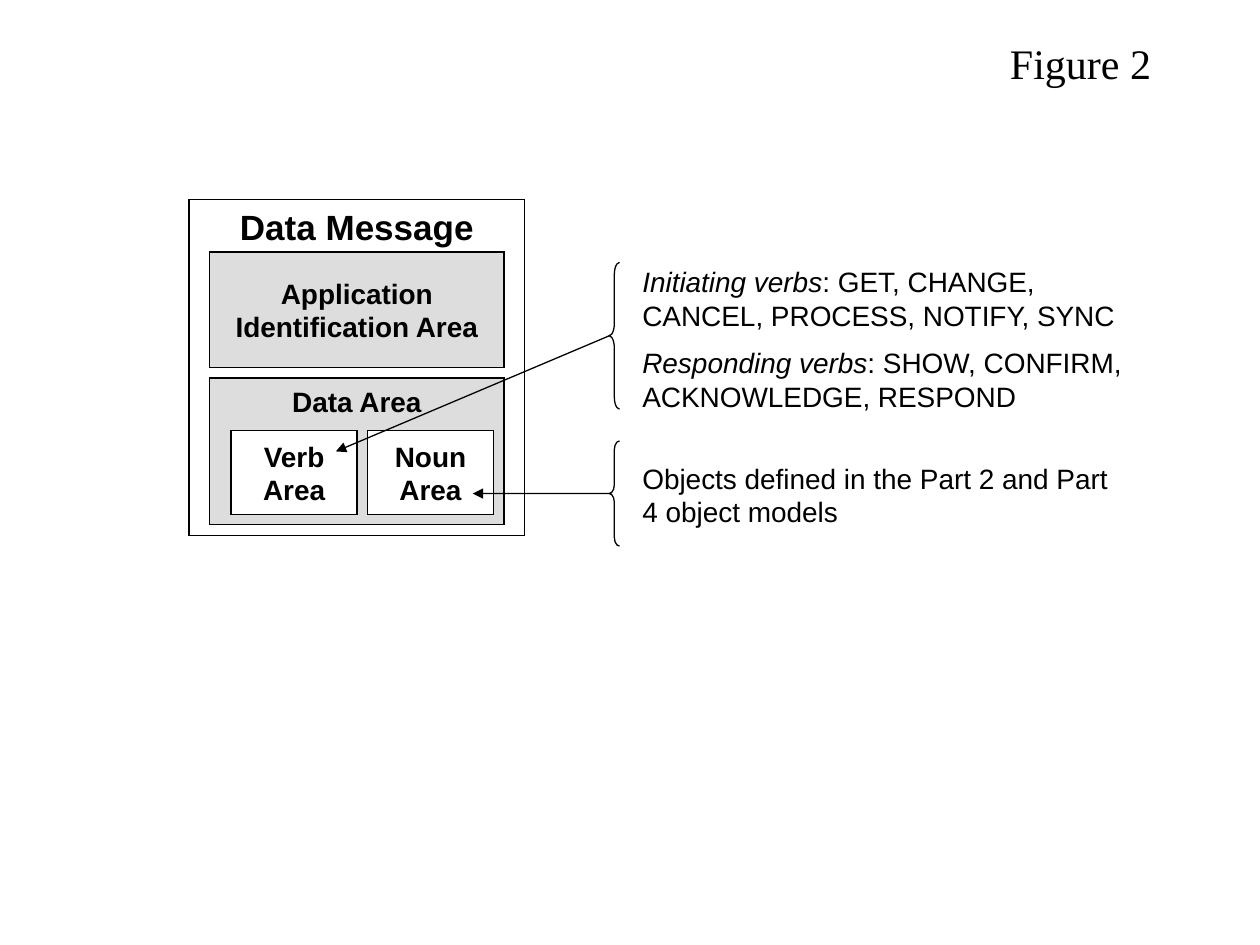
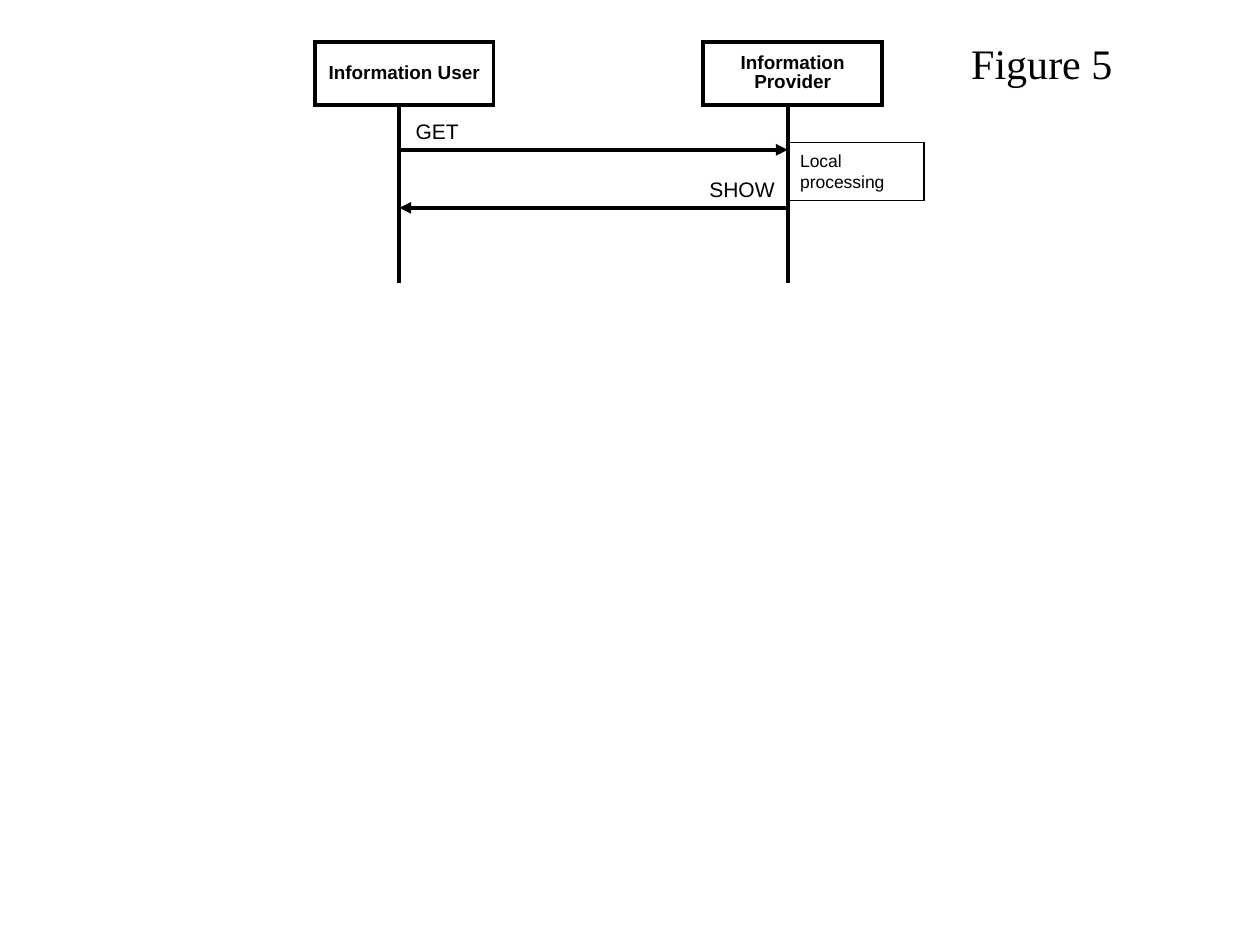
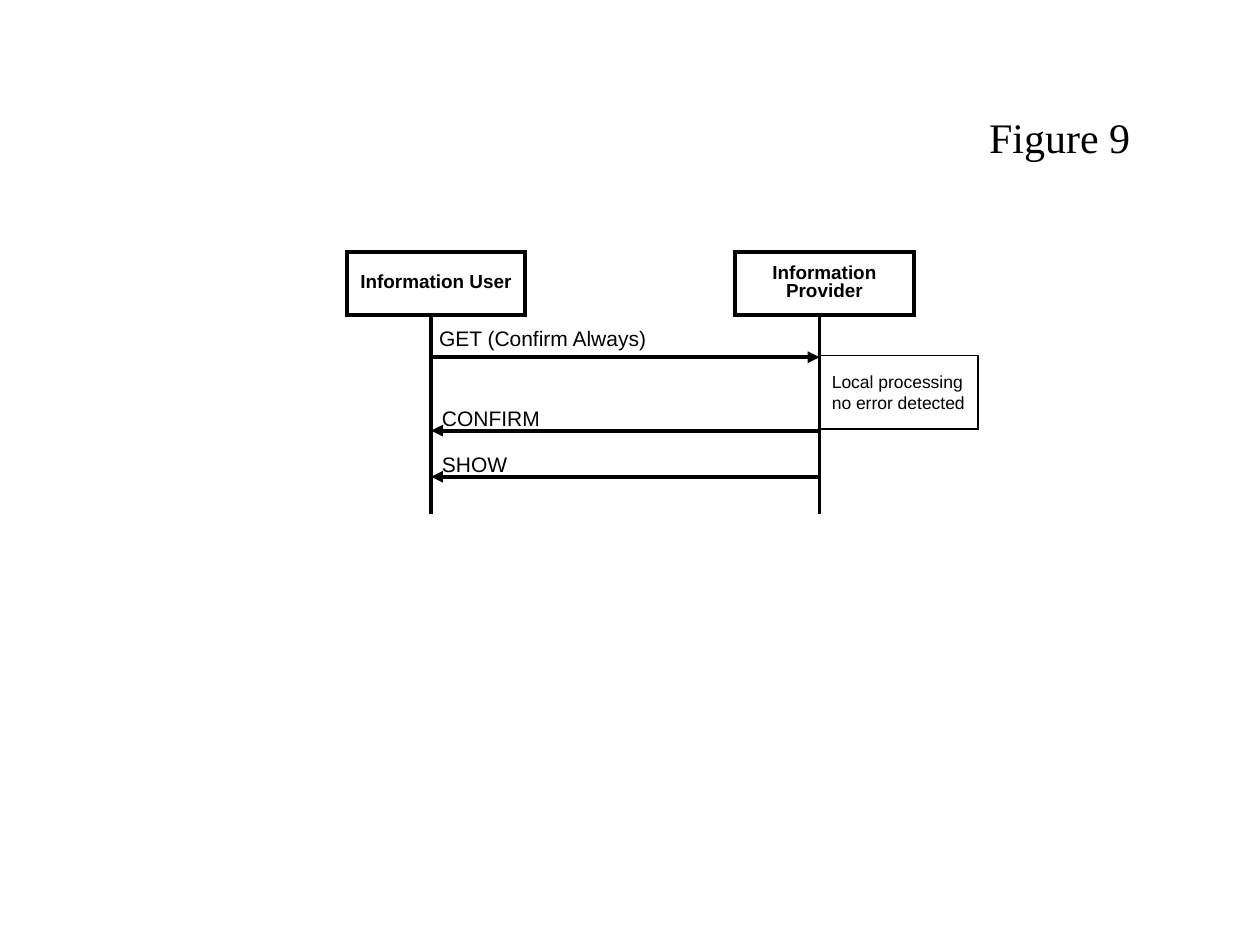
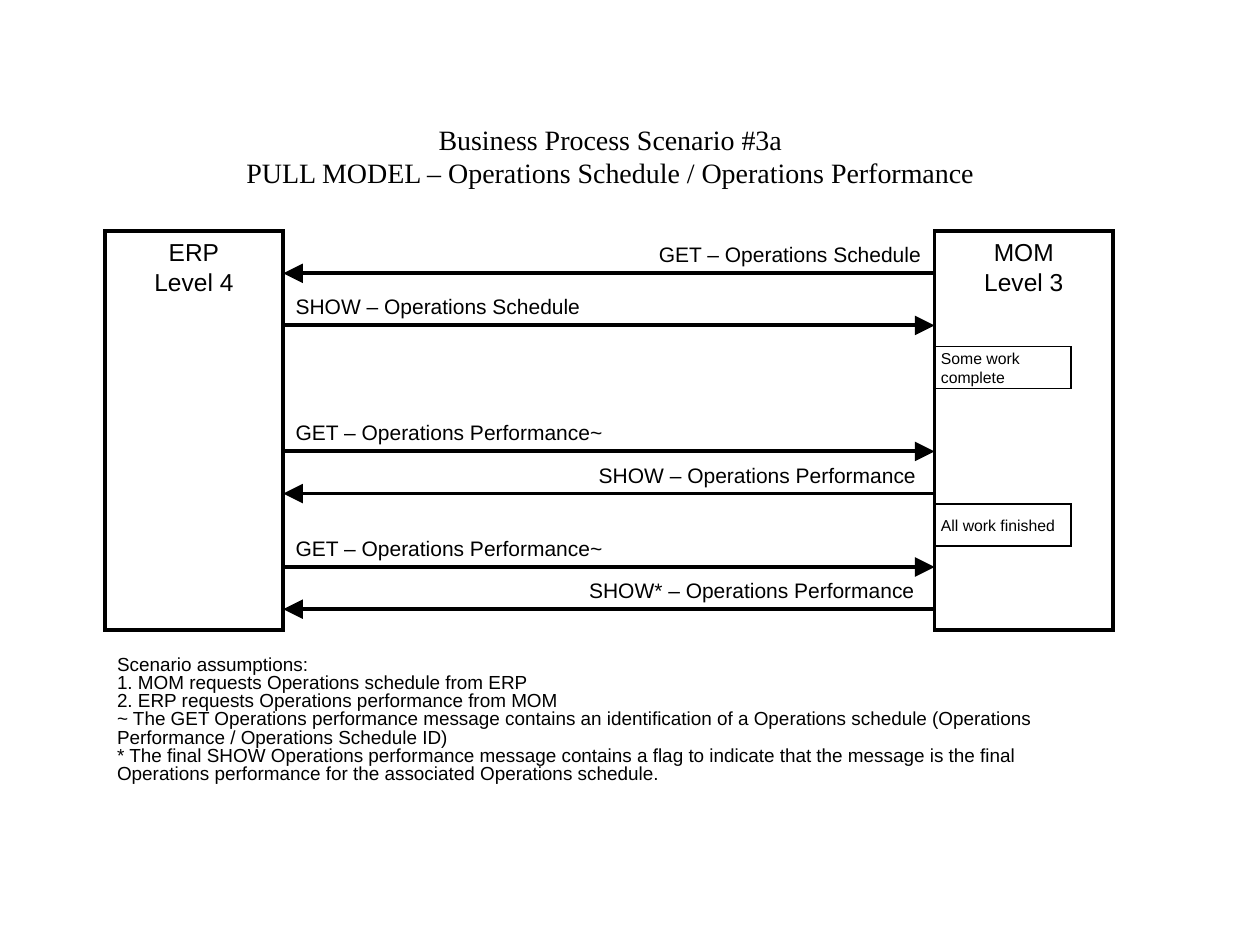
from dataclasses import dataclass

from lxml import etree
from pptx import Presentation
from pptx import util as u
from pptx.dml.color import RGBColor
from pptx.enum import shapes, text
from pptx.oxml.ns import qn

Cm, Pt = u.Cm, u.Pt
LEFT, CENTER, RIGHT = text.PP_ALIGN.LEFT, text.PP_ALIGN.CENTER, text.PP_ALIGN.RIGHT
TOP, MIDDLE = text.MSO_ANCHOR.TOP, text.MSO_ANCHOR.MIDDLE


# Theme
@dataclass(frozen=True)
class Style:
    size: float
    font: str = "Arial"
    bold: bool = False
    align: int = LEFT
    spacing: float = 1.0


@dataclass(frozen=True)
class Theme:
    ink: RGBColor = RGBColor(0, 0, 0)
    paper: RGBColor = RGBColor(255, 255, 255)
    grey: RGBColor = RGBColor(0xDD, 0xDD, 0xDD)
    thin: float = 0.75
    thick: float = 2.25
    figure: Style = Style(24, "Times New Roman")
    heading: Style = Style(16, "Times New Roman", align=CENTER)
    message: Style = Style(20, bold=True, align=CENTER)
    area: Style = Style(16, bold=True, align=CENTER)
    explanation: Style = Style(16)
    role: Style = Style(10.8, bold=True, align=CENTER, spacing=0.8)
    system: Style = Style(14, align=CENTER)
    label: Style = Style(12)
    label_right: Style = Style(12, align=RIGHT)
    note: Style = Style(10)
    small_note: Style = Style(9)
    assumptions: Style = Style(10.8, spacing=0.8)


THEME = Theme()


# Text
def write(frame, paragraphs, style, gap=0):
    """Each paragraph is a string or a list of (words, italic) runs."""
    for index, content in enumerate(paragraphs):
        paragraph = frame.add_paragraph() if index else frame.paragraphs[0]
        paragraph.alignment = style.align
        if style.spacing != 1:
            paragraph.line_spacing = style.spacing
        if index and gap:
            paragraph.space_before = Pt(gap)
        runs = [(content, False)] if isinstance(content, str) else content
        for words, italic in runs:
            run = paragraph.add_run()
            run.text = words
            run.font.name = style.font
            run.font.size = Pt(style.size)
            run.font.bold = style.bold
            run.font.italic = italic
            run.font.color.rgb = THEME.ink


def add_text(slide, box, paragraphs, style, wrap=True, gap=0, grow=True):
    frame = slide.shapes.add_textbox(*map(Cm, box)).text_frame
    frame.word_wrap = wrap
    if grow:
        frame.auto_size = text.MSO_AUTO_SIZE.SHAPE_TO_FIT_TEXT
    write(frame, paragraphs, style, gap)


def add_figure_number(slide, left, top, number):
    add_text(slide, (left, top, 4.2, 1.27), [f"Figure {number}"], THEME.figure)


# Boxes, braces and lines
def add_box(slide, box, paragraphs, style, fill=THEME.paper, weight=THEME.thin,
            anchor=MIDDLE, wrap=False, inset=0.25):
    shape = slide.shapes.add_shape(shapes.MSO_SHAPE.RECTANGLE, *map(Cm, box))
    shape.shadow.inherit = False
    if fill is None:
        shape.fill.background()
    else:
        shape.fill.solid()
        shape.fill.fore_color.rgb = fill
    shape.line.color.rgb = THEME.ink
    shape.line.width = Pt(weight)
    etree.SubElement(shape.line._get_or_add_ln(), qn("a:miter"), lim="800000")
    frame = shape.text_frame
    frame.word_wrap = wrap
    frame.vertical_anchor = anchor
    frame.margin_left = frame.margin_right = Cm(inset)
    write(frame, paragraphs, style)


def add_brace(slide, left, top, height, width=0.21):
    brace = slide.shapes.add_shape(shapes.MSO_SHAPE.LEFT_BRACE,
                                   *map(Cm, (left, top, width, height)))
    brace.shadow.inherit = False
    brace.adjustments[0] = height / width / 12
    brace.fill.background()
    brace.line.color.rgb = THEME.ink
    brace.line.width = Pt(THEME.thin)
    return brace


def add_line(slide, start, end, weight=THEME.thick, head=None):
    """Draw a straight line; head is the arrowhead size at its end."""
    line = slide.shapes.add_connector(shapes.MSO_CONNECTOR.STRAIGHT,
                                      *map(Cm, (*start, *end)))
    line.line.color.rgb = THEME.ink
    line.line.width = Pt(weight)
    if head:
        etree.SubElement(line.line._get_or_add_ln(), qn("a:tailEnd"),
                         type="triangle", w=head, len=head)
    etree.SubElement(line._element.spPr, qn("a:effectLst"))
    return line


# Messages between two parties
def add_message(slide, sides, y, words, label_left, label_width, style=THEME.label,
                back=False, head="med", sink=0):
    """Draw an arrow between two sides, with its label standing on it."""
    start, end = reversed(sides) if back else sides
    add_line(slide, (start, y), (end, y), head=head)
    label_height = 0.76
    add_text(slide, (label_left, y - label_height + sink, label_width, label_height),
             [words], style, wrap=False)


def add_parties(slide, left, top, bottom, note_top, note_size, note_lines):
    """Draw two roles, their lifelines and the provider's note; return the lifelines' x."""
    width, height, step, inset = 3.6, 1.27, 7.83, 1.7
    sides = left + inset, left + inset + step
    add_box(slide, (sides[1], note_top, *note_size), note_lines, THEME.note)
    for index, role in enumerate(("Information User", "Information Provider")):
        add_box(slide, (left + index * step, top, width, height), [role], THEME.role,
                weight=THEME.thick, wrap=True)
        add_line(slide, (sides[index], top + height), (sides[index], bottom))
    return sides


# Slides
def build_message_structure(slide):
    areas = [
        ((3.81, 4.02, 6.77, 6.77), ["Data Message"], THEME.message, THEME.paper, TOP),
        ((4.23, 5.08, 5.93, 2.33), ["Application", "Identification Area"],
         THEME.area, THEME.grey, MIDDLE),
        ((4.23, 7.62, 5.93, 2.96), ["Data Area"], THEME.area, THEME.grey, TOP),
        ((4.66, 8.68, 2.54, 1.7), ["Verb", "Area"], THEME.area, THEME.paper, MIDDLE),
        ((7.41, 8.68, 2.54, 1.7), ["Noun", "Area"], THEME.area, THEME.paper, MIDDLE),
    ]
    for box, words, style, fill, anchor in areas:
        add_box(slide, box, words, style, fill, anchor=anchor)

    add_text(slide, (12.7, 5.21, 10.58, 3.28), [
        [("Initiating verbs", True),
         (": GET, CHANGE, CANCEL, PROCESS, NOTIFY, SYNC", False)],
        [("Responding verbs", True),
         (": SHOW, CONFIRM, ACKNOWLEDGE, RESPOND", False)],
    ], THEME.explanation, gap=8)
    add_text(slide, (12.7, 9.17, 9.95, 1.63),
             ["Objects defined in the Part 2 and Part 4 object models"],
             THEME.explanation)

    # Each brace points into the area that it explains
    brace_left = 12.28
    for top, height, target in ((5.29, 2.96, (6.77, 9.1)), (8.89, 2.12, (9.53, 9.95))):
        brace = add_brace(slide, brace_left, top, height)
        pointer = add_line(slide, (brace_left, top + height / 2), target,
                           THEME.thin, "med")
        pointer.begin_connect(brace, 1)
    add_figure_number(slide, 20.11, 0.64, 2)


def build_get_show(slide):
    sides = add_parties(slide, 6.35, 0.85, 5.71,
                        2.87, (2.75, 1.17), ["Local", "processing"])
    add_message(slide, sides, 3.02, "GET", 8.13, 1.37, THEME.label_right)
    add_message(slide, sides, 4.19, "SHOW", 14.05, 1.83, back=True)
    add_figure_number(slide, 19.33, 0.64, 5)


def build_confirm_always(slide):
    sides = add_parties(slide, 6.99, 5.08, 10.37,
                        7.17, (3.2, 1.48), ["Local processing", "no error detected"])
    add_message(slide, sides, 7.2, "GET (Confirm Always)", 8.54, 4.74,
                THEME.label_right)
    for y, verb, width in ((8.68, "CONFIRM", 2.49), (9.61, "SHOW", 1.83)):
        add_message(slide, sides, y, verb, 8.66, width, back=True, sink=0.13)
    add_figure_number(slide, 19.69, 2.12, 9)


def build_pull_model(slide):
    add_text(slide, (4.7, 2.34, 15.21, 1.63), [
        "Business Process Scenario #3a",
        "PULL MODEL – Operations Schedule / Operations Performance",
    ], THEME.heading, wrap=False)

    # Systems
    width = 3.6
    erp_left, mom_left = 2.11, 18.84
    for left, lines in ((erp_left, ["ERP", "Level 4"]), (mom_left, ["MOM", "Level 3"])):
        add_box(slide, (left, 4.66, width, 8.04), lines, THEME.system,
                weight=THEME.thick, anchor=TOP, wrap=True)
    sides = erp_left + width, mom_left

    # Messages to the right have their label at the left, and the reverse
    for y, words, label_width in (
            (6.56, "SHOW – Operations Schedule", 6.25),
            (9.1, "GET – Operations Performance~", 6.71),
            (11.43, "GET – Operations Performance~", 6.71)):
        add_message(slide, sides, y, words, sides[0], label_width, head="lg")
    for y, words, label_left, label_width in (
            (5.51, "GET – Operations Schedule", 13.02, 5.8),
            (9.95, "SHOW – Operations Performance", 11.72, 7),
            (12.28, "SHOW* – Operations Performance", 11.49, 7.2)):
        add_message(slide, sides, y, words, label_left, label_width,
                    THEME.label_right, back=True, head="lg")

    # Work done by MOM
    for top, lines in ((6.99, ["Some work", "complete"]), (10.16, ["All work finished"])):
        add_box(slide, (mom_left, top, 2.75, 0.85), lines, THEME.small_note,
                fill=None, inset=0.13)

    add_text(slide, (erp_left, 13.12, 20.32, 3.81), [
        "Scenario assumptions:",
        "1. MOM requests Operations schedule from ERP",
        "2. ERP requests Operations performance from MOM",
        "~ The GET Operations performance message contains an identification of a "
        "Operations schedule (Operations Performance / Operations Schedule ID)",
        "* The final SHOW Operations performance message contains a flag to indicate "
        "that the message is the final Operations performance for the associated "
        "Operations schedule.",
    ], THEME.assumptions, grow=False)


def main():
    presentation = Presentation()
    presentation.slide_width, presentation.slide_height = Cm(25.4), Cm(19.05)
    blank = presentation.slide_layouts[6]
    for build in (build_message_structure, build_get_show,
                  build_confirm_always, build_pull_model):
        build(presentation.slides.add_slide(blank))
    presentation.save("out.pptx")


if __name__ == "__main__":
    main()
